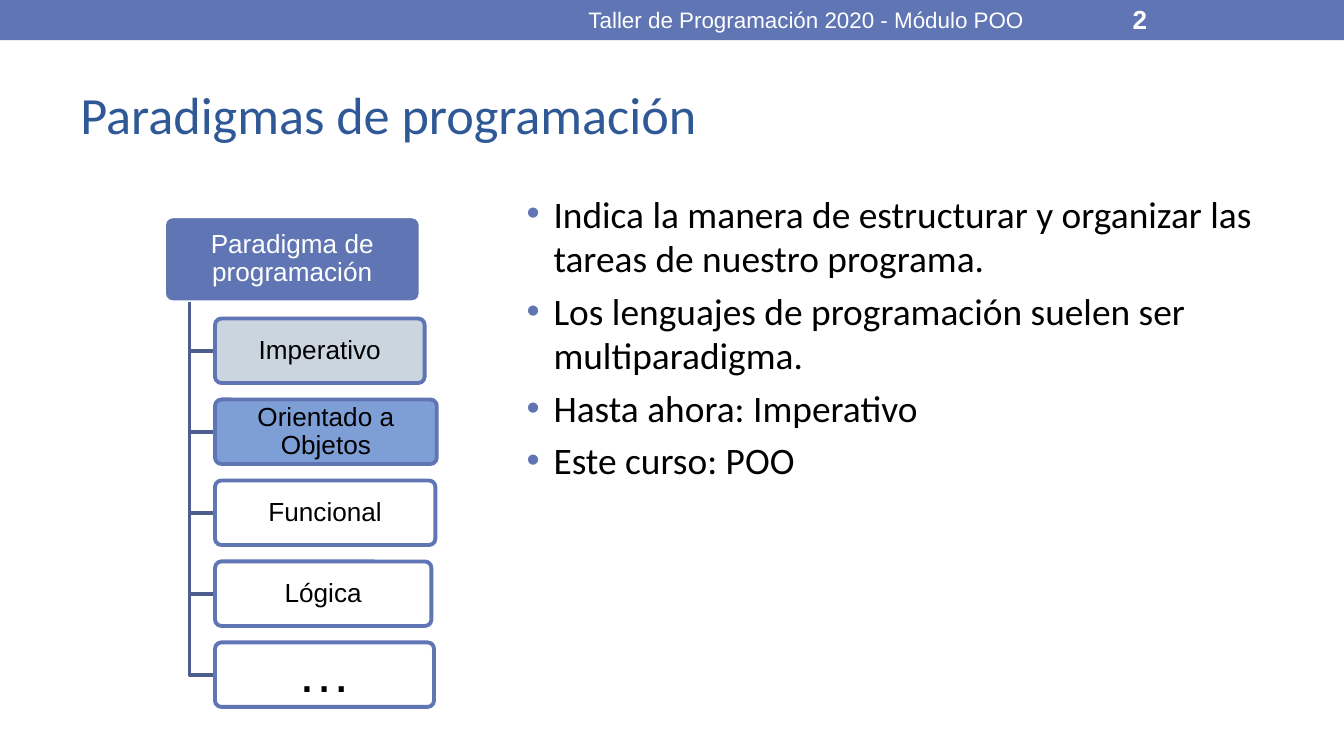
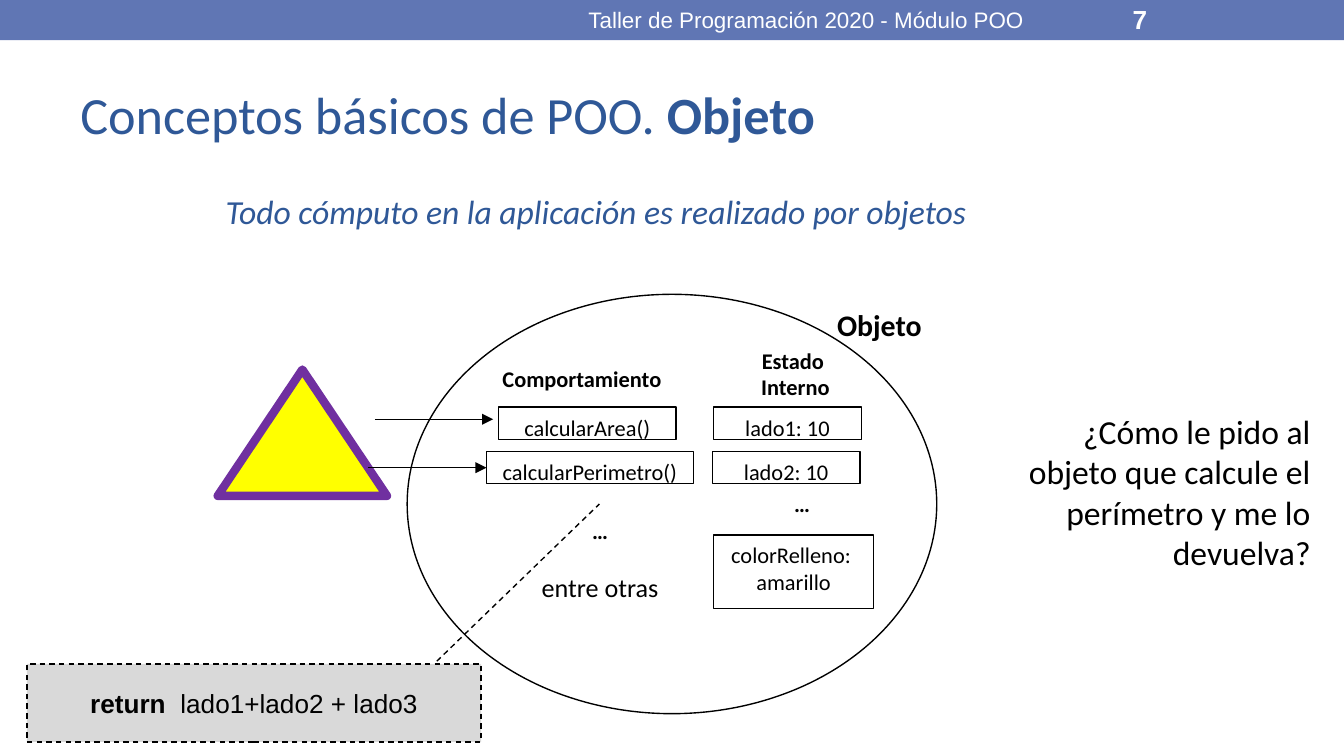
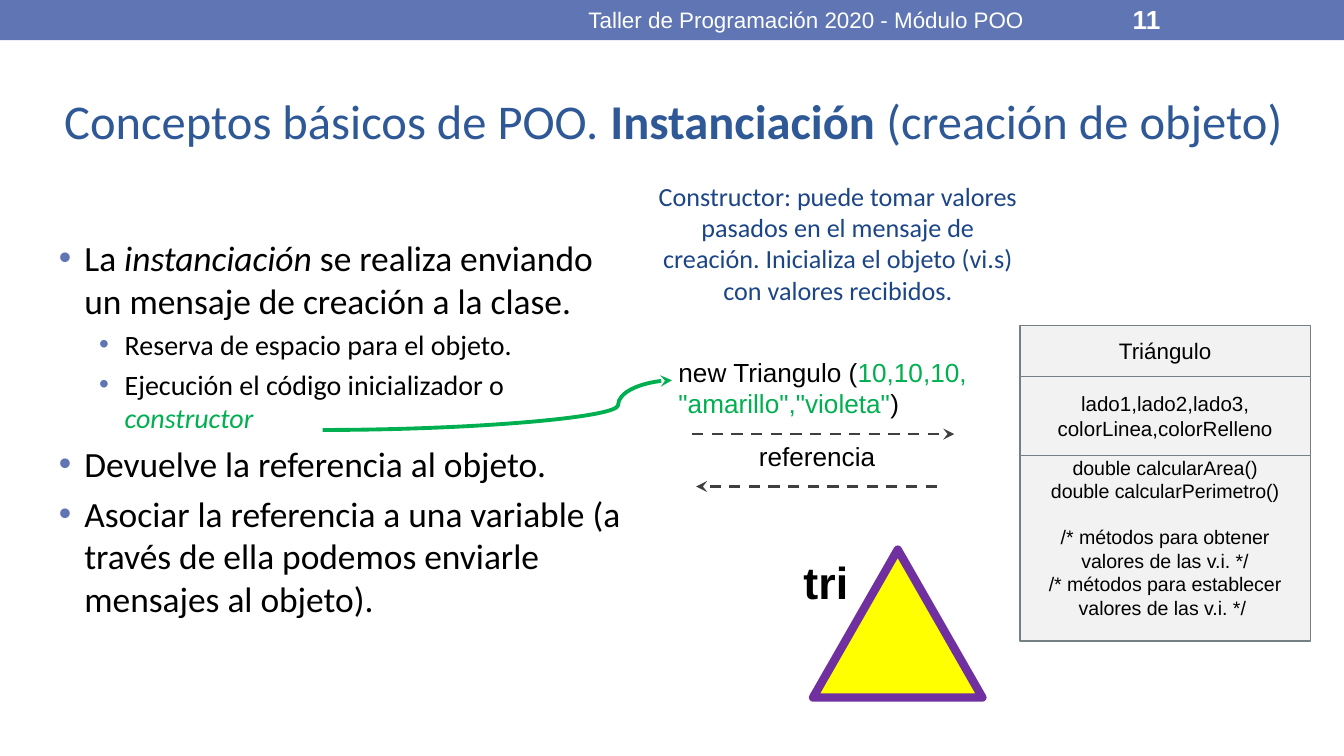
from lxml import etree
from pptx import Presentation
from pptx.dml.color import RGBColor
from pptx.enum.dml import MSO_LINE
from pptx.enum.shapes import MSO_CONNECTOR, MSO_SHAPE
from pptx.enum.text import MSO_ANCHOR, PP_ALIGN
from pptx.oxml.ns import qn
from pptx.util import Inches, Pt

LEFT, CENTER, RIGHT = PP_ALIGN.LEFT, PP_ALIGN.CENTER, PP_ALIGN.RIGHT
TOP, MIDDLE = MSO_ANCHOR.TOP, MSO_ANCHOR.MIDDLE
RECTANGLE, ROUNDED = MSO_SHAPE.RECTANGLE, MSO_SHAPE.ROUNDED_RECTANGLE
ELLIPSE, TRIANGLE = MSO_SHAPE.OVAL, MSO_SHAPE.ISOSCELES_TRIANGLE
STRAIGHT, CURVE = MSO_CONNECTOR.STRAIGHT, MSO_CONNECTOR.CURVE
DASH = MSO_LINE.DASH
LEFT_SIDE = 1

ACCENT, TITLE_BLUE, TREE_LINE = "6076B4", "2F5897", "4C5D8E"
BLACK, WHITE, GREEN = "000000", "FFFFFF", "00B050"
YELLOW, PURPLE, DARK_GRAY = "FFFF00", "7030A0", "3F3F3F"
COURSE = "Taller de Programación 2020 - Módulo POO"


def rgb(value):
    """Return the colour for a hex string."""
    return RGBColor.from_string(value)


def write_text(shape, paragraphs, size=12, font="Calibri", color=BLACK, bold=False,
               italic=False, align=LEFT, anchor=TOP, insets=(0.1, 0.05),
               line_spacing=None):
    """Fill a shape with paragraphs, each a string or a list of (text, changes) runs."""
    frame = shape.text_frame
    frame.word_wrap = True
    frame.vertical_anchor = anchor
    frame.margin_left = frame.margin_right = Inches(insets[0])
    frame.margin_top = frame.margin_bottom = Inches(insets[1])
    for index, runs in enumerate(paragraphs):
        paragraph = frame.paragraphs[0] if index == 0 else frame.add_paragraph()
        paragraph.alignment = align
        if line_spacing:
            paragraph.line_spacing = line_spacing
        for text, changes in [(runs, {})] if isinstance(runs, str) else runs:
            for line_number, line in enumerate(text.split("\n")):
                if line_number:
                    paragraph.add_line_break()
                run = paragraph.add_run()
                run.text = line
                run.font.name = font
                run.font.size = Pt(changes.get("size", size))
                run.font.bold = changes.get("bold", bold)
                run.font.italic = changes.get("italic", italic)
                run.font.color.rgb = rgb(changes.get("color", color))
    return frame


def add_text(slide, box, *paragraphs, **text_format):
    """Add a text box and return its text frame."""
    shape = slide.shapes.add_textbox(*map(Inches, box))
    return write_text(shape, paragraphs, **text_format)


def style_line(line, color, width, dash=None):
    """Set the colour, width and dash of a line."""
    line.color.rgb = rgb(color)
    line.width = Pt(width)
    if dash:
        line.dash_style = dash


def add_box(slide, kind, box, fill, line=None, width=0.75, dash=None, opacity=None):
    """Add a filled preset shape without shadow."""
    shape = slide.shapes.add_shape(kind, *map(Inches, box))
    shape.shadow.inherit = False
    shape.fill.solid()
    shape.fill.fore_color.rgb = rgb(fill)
    if opacity:
        color = shape._element.spPr.find(".//" + qn("a:srgbClr"))
        etree.SubElement(color, qn("a:alpha"), val=str(opacity * 1000))
    if line:
        style_line(shape.line, line, width, dash)
    else:
        shape.line.fill.background()
    return shape


def add_line(slide, start, end, color=BLACK, width=0.75, dash=None, head=None,
             kind=STRAIGHT):
    """Add a connector, with an arrowhead at its end if one is named."""
    connector = slide.shapes.add_connector(kind, *map(Inches, start + end))
    style_line(connector.line, color, width, dash)
    properties = connector._element.spPr
    if head:
        etree.SubElement(properties.find(qn("a:ln")), qn("a:tailEnd"), type=head)
    etree.SubElement(properties, qn("a:effectLst"))
    return connector


def add_branch(slide, x, top, end_x, end_y):
    """Add the angled line from the tree's trunk to one branch."""
    builder = slide.shapes.build_freeform(Inches(x), Inches(top))
    builder.add_line_segments(
        [(Inches(x), Inches(end_y)), (Inches(end_x), Inches(end_y))], close=False)
    branch = builder.convert_to_shape()
    branch.shadow.inherit = False
    branch.fill.background()
    style_line(branch.line, TREE_LINE, 2.08)


def add_bullets(slide, box, items, size, hanging):
    """Add a bulleted list from (level, runs) items."""
    frame = add_text(slide, box, *[runs for _, runs in items], size=size)
    for index, (level, _) in enumerate(items):
        paragraph = frame.paragraphs[index]
        paragraph.level = level
        if index:
            paragraph.space_before = Pt(3.2 if level else 4)
        properties = paragraph._p.get_or_add_pPr()
        properties.set("marL", str(Inches(0.5 if level else 0.2)))
        properties.set("indent", str(-Inches(hanging)))
        bullet_color = etree.SubElement(properties, qn("a:buClr"))
        etree.SubElement(bullet_color, qn("a:srgbClr"), val=ACCENT)
        etree.SubElement(properties, qn("a:buFont"), typeface="Arial")
        etree.SubElement(properties, qn("a:buChar"), char="•")


def add_yellow_triangle(slide, box):
    """Add the triangle that stands for the example object."""
    add_box(slide, TRIANGLE, box, YELLOW, PURPLE, 4.5)


def add_slide(presentation, number, title, title_box=(0.5, 0.44, 9, 0.81), title_size=28):
    """Add a slide with its band, course name, number and title."""
    slide = presentation.slides.add_slide(presentation.slide_layouts[6])
    add_box(slide, RECTANGLE, (0, 0, 10, 0.3), ACCENT)
    add_text(slide, title_box, title, size=title_size, color=TITLE_BLUE, anchor=MIDDLE)
    band_format = {"font": "Arial", "color": WHITE, "anchor": MIDDLE}
    add_text(slide, (3.75, 0.01, 4.5, 0.27), COURSE, align=CENTER, **band_format)
    add_text(slide, (8.33, 0.01, 1.17, 0.27), str(number), size=14, bold=True,
             **band_format)
    return slide


def build_paradigms(presentation):
    """Build the slide with the tree of paradigms."""
    slide = add_slide(presentation, 2, "Paradigmas de programación")
    label_format = {"font": "Arial", "align": CENTER, "anchor": MIDDLE,
                    "insets": (0.05, 0.04), "line_spacing": 0.9}
    root = add_box(slide, ROUNDED, (1.22, 1.61, 1.91, 0.64), ACCENT, WHITE, 2.08)
    root.adjustments[0] = 0.1
    write_text(root, ["Paradigma de programación"], size=14, color=WHITE, **label_format)
    paradigms = [
        ("Imperativo", 1.56, "C6D1DD", 14),
        ("Orientado a Objetos", 1.65, "6F95D2", 14),
        ("Funcional", 1.64, WHITE, 14),
        ("Lógica", 1.61, WHITE, 14),
        ("…", 1.63, WHITE, 29),
    ]
    first_top, last_top, height = 2.37, 4.78, 0.48
    pitch = (last_top - first_top) / (len(paradigms) - 1)
    for index, (label, width, fill, size) in enumerate(paradigms):
        top = first_top + pitch * index
        add_branch(slide, 1.41, 2.25, 1.6, top + height / 2)
        paradigm = add_box(slide, ROUNDED, (1.6, top, width, height), fill, ACCENT, 2.08,
                           opacity=90)
        paradigm.adjustments[0] = 0.1
        write_text(paradigm, [label], size=size, **label_format)
    add_bullets(slide, (3.82, 1.37, 5.91, 3.87), [
        (0, "Indica la manera de estructurar y organizar las tareas de nuestro programa."),
        (0, "Los lenguajes de programación suelen ser multiparadigma."),
        (0, "Hasta ahora: Imperativo"),
        (0, "Este curso: POO"),
    ], size=20, hanging=0.2)


def build_object(presentation):
    """Build the slide that shows the inside of an object."""
    slide = add_slide(presentation, 7,
                      [("Conceptos básicos de POO. ", {}), ("Objeto", {"bold": True})])
    add_yellow_triangle(slide, (1.62, 2.75, 1.26, 0.94))
    add_text(slide, (6.13, 2.23, 0.88, 0.48), "Objeto", size=16, bold=True)
    add_box(slide, ELLIPSE, (3.03, 2.19, 3.94, 3.12), WHITE, BLACK)
    members = [
        ("calcularArea()", (3.71, 3.03, 1.32, 0.24)),
        ("lado1: 10", (5.31, 3.03, 1.1, 0.24)),
        ("lado2: 10", (5.3, 3.36, 1.1, 0.24)),
        ("colorRelleno: \namarillo", (5.31, 3.98, 1.19, 0.55)),
        ("calcularPerimetro()", (3.62, 3.36, 1.54, 0.24)),
    ]
    for label, box in members:
        member = add_box(slide, RECTANGLE, box, WHITE, BLACK)
        write_text(member, [label], align=CENTER)
    perimeter = member
    add_text(slide, (3.64, 2.67, 1.54, 0.48), "Comportamiento", bold=True)
    add_text(slide, (5.13, 2.53, 1.54, 0.48), "Estado", " Interno", bold=True, align=CENTER)
    others = add_text(slide, (3.58, 3.8, 1.77, 0.73), [("…", {"bold": True})],
                      [("entre otras", {"size": 14})], align=CENTER)
    others.paragraphs[1].space_before = Pt(14.6)
    add_text(slide, (5.81, 3.6, 1.39, 0.47), "…", bold=True)
    add_line(slide, (2.79, 3.12), (3.67, 3.12), head="triangle")
    message = add_line(slide, (2.74, 3.48), (3.62, 3.48), head="triangle")
    message.end_connect(perimeter, LEFT_SIDE)
    add_text(slide, (7.27, 3.01, 2.58, 1.57),
             "¿Cómo le pido al objeto que calcule el perímetro y me lo devuelva?",
             size=18, align=RIGHT)
    code = add_box(slide, RECTANGLE, (0.2, 4.94, 3.38, 0.58), "D9D9D9", BLACK, dash=DASH)
    write_text(code, [[("return", {"bold": True}), ("  lado1+lado2 + lado3", {})]],
               size=14, font="Arial", align=CENTER, anchor=MIDDLE)
    add_line(slide, (3.25, 4.92), (4.46, 3.75), dash=DASH)
    add_text(slide, (1.58, 1.37, 6.38, 0.4),
             "Todo cómputo en la aplicación es realizado por objetos",
             size=18, color=TITLE_BLUE, italic=True)


def add_class_diagram(slide, left, top, width, compartments):
    """Stack the compartments of a class and return their text frames."""
    frames = []
    for height, size, anchor, inset, lines in compartments:
        compartment = add_box(slide, RECTANGLE, (left, top, width, height),
                              "F2F2F2", "758085")
        frames.append(write_text(compartment, lines, size=size, font="Arial",
                                 align=CENTER, anchor=anchor, insets=(0.1, inset)))
        top += height
    return frames


def build_instantiation(presentation):
    """Build the slide about creating an object."""
    slide = add_slide(presentation, 11, [
        ("Conceptos básicos de POO. ", {}), ("Instanciación", {"bold": True}),
        (" (creación de objeto)", {})], (0.38, 0.49, 9.7, 0.81), 26)
    small = {"size": 15}
    add_bullets(slide, (0.33, 1.71, 4.5, 3.39), [
        (0, [("La ", {}), ("instanciación ", {"italic": True}),
             ("se realiza enviando un mensaje de creación a la clase.", {})]),
        (1, [("Reserva de espacio para el objeto.", small)]),
        (1, [("Ejecución el código inicializador o ", small),
             ("constructor", {"size": 15, "color": GREEN, "italic": True})]),
        (0, "Devuelve la referencia al objeto."),
        (0, "Asociar la referencia a una variable "
            "(a través de ella podemos enviarle mensajes al objeto)."),
    ], size=19, hanging=0.19)
    methods = add_class_diagram(slide, 7.59, 2.42, 2.16, [
        (0.38, 12, MIDDLE, 0.05, ["Triángulo"]),
        (0.59, 11, MIDDLE, 0.05, ["lado1,lado2,lado3,", "colorLinea,colorRelleno"]),
        (1.38, 10.5, TOP, 0, [
            "double calcularArea()", "double calcularPerimetro()",
            "/* métodos para obtener valores de las v.i. */",
            "/* métodos para establecer valores de las v.i. */ "]),
    ])[-1]
    methods.paragraphs[2].space_before = Pt(12)
    add_text(slide, (4.95, 2.6, 2.44, 0.57), [
        ("new Triangulo (", {}), ('10,10,10, "amarillo","violeta"', {"color": GREEN}),
        (")", {})], size=14, font="Arial")
    add_yellow_triangle(slide, (6.05, 4.09, 1.26, 1.1))
    for start, end in [((5.15, 3.23), (7.1, 3.23)), ((6.97, 3.62), (5.18, 3.62))]:
        add_line(slide, start, end, DARK_GRAY, 1.5, DASH, "stealth")
    add_text(slide, (5.43, 3.23, 1.3, 0.34), "referencia", size=14, font="Arial",
             align=CENTER)
    add_text(slide, (5.88, 4.08, 0.68, 0.5), "tri", size=24, font="Arial", bold=True)
    curve = add_line(slide, (2.4, 3.2), (5, 2.83), GREEN, 2.08, head="stealth", kind=CURVE)
    adjustments = curve._element.spPr.find(".//" + qn("a:avLst"))
    etree.SubElement(adjustments, qn("a:gd"), name="adj1", fmla="val 84600")
    add_text(slide, (4.79, 1.29, 2.89, 0.91),
             "Constructor: puede tomar valores pasados en el mensaje de creación. "
             "Inicializa el objeto (vi.s) con valores recibidos.",
             size=14, color="1C4587", align=CENTER)


def main():
    """Build and save the presentation."""
    presentation = Presentation()
    presentation.slide_width = Inches(10)
    presentation.slide_height = Inches(10) * 9 // 16
    build_paradigms(presentation)
    build_object(presentation)
    build_instantiation(presentation)
    presentation.save("out.pptx")


if __name__ == "__main__":
    main()
